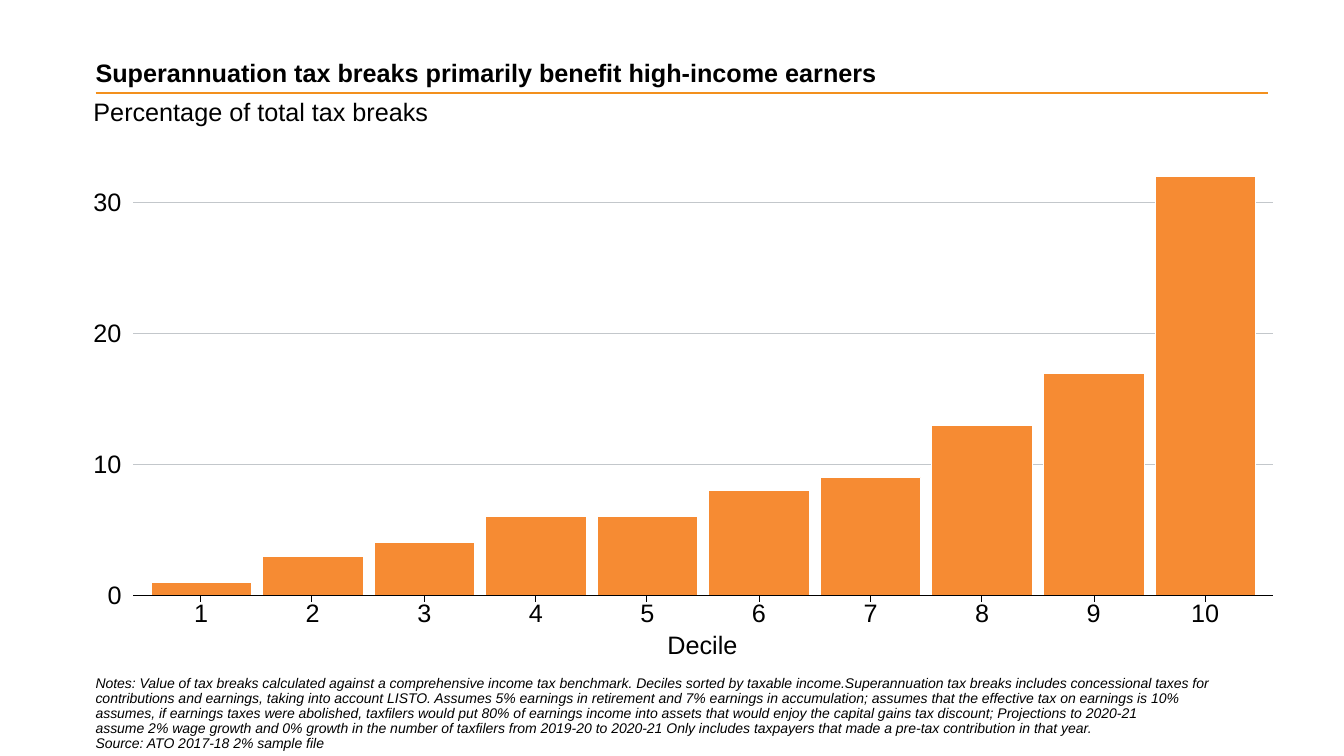
from dataclasses import dataclass

from lxml.etree import SubElement
from pptx import Presentation
from pptx.chart.data import CategoryChartData
from pptx.dml.color import RGBColor
from pptx.enum.chart import XL_CHART_TYPE, XL_TICK_MARK
from pptx.enum.shapes import MSO_CONNECTOR
from pptx.enum.text import MSO_ANCHOR, PP_ALIGN
from pptx.oxml import parse_xml
from pptx.oxml.ns import nsdecls, qn
from pptx.util import Emu, Pt

EMU_PER_PX = 9525
FONT = "Arial"
COLOURS = {"text": "000000", "rule": "F3901D", "bar": "F68B33",
           "grid": "C3C7CB", "edge": "FFFFFF"}
SHARES = [1, 3, 4, 6, 6, 8, 9, 13, 17, 32]
MAXIMUM, STEP = 33, 10
NOTES = "\v".join([
    "Notes: Value of tax breaks calculated against a comprehensive income tax benchmark. Deciles sorted by taxable income.Superannuation tax breaks includes concessional taxes for",
    "contributions and earnings, taking into account LISTO. Assumes 5% earnings in retirement and 7% earnings in accumulation; assumes that the effective tax on earnings is 10%",
    "assumes, if earnings taxes were abolished, taxfilers would put 80% of earnings income into assets that would enjoy the capital gains tax discount; Projections to 2020-21",
    "assume 2% wage growth and 0% growth in the number of taxfilers from 2019-20 to 2020-21 Only includes taxpayers that made a pre-tax contribution in that year.",
])
SOURCE = "Source: ATO 2017-18 2% sample file"


@dataclass(frozen=True)
class Area:
    left: int
    top: int
    width: int
    height: int

    def emu(self) -> list[Emu]:
        return [px(n) for n in (self.left, self.top, self.width, self.height)]


@dataclass(frozen=True)
class Line:
    x1: int
    y1: int
    x2: int
    y2: int
    colour: str
    points: float


@dataclass(frozen=True)
class TextStyle:
    size: int
    bold: bool = False
    italic: bool = False
    spacing: object = 1.0
    anchor: MSO_ANCHOR = MSO_ANCHOR.TOP
    align: PP_ALIGN = PP_ALIGN.LEFT


CHART = Area(89, 149, 1134, 485)
PLOT = Area(138, 156, 1063, 411)
BASE = PLOT.top + PLOT.height
GRID_LEFT, GRID_RIGHT = 127, 1212
AXIS_TITLE = Area(619, 599, 100, 28)
NOTES_AREA = Area(91, 644, 1134, 72)


def px(length: int) -> Emu:
    return Emu(length * EMU_PER_PX)


def colour(name: str) -> RGBColor:
    return RGBColor.from_string(COLOURS[name])


def write(shape, area: Area, lines: list[str], style: TextStyle) -> None:
    shape.left, shape.top, shape.width, shape.height = area.emu()
    frame = shape.text_frame
    frame.word_wrap = True
    frame.vertical_anchor = style.anchor
    frame.margin_left = frame.margin_right = frame.margin_top = frame.margin_bottom = 0
    for index, line in enumerate(lines):
        para = frame.add_paragraph() if index else frame.paragraphs[0]
        para.text = line
        para.alignment = style.align
        para.line_spacing = style.spacing
        para.space_before = para.space_after = Pt(0)
        properties = para._p.get_or_add_pPr()
        properties.set("marL", "0")
        properties.set("indent", "0")
        SubElement(properties, qn("a:buNone"))
        para.font.name = FONT
        para.font.size = Pt(style.size)
        para.font.bold = style.bold
        para.font.italic = style.italic
        para.font.color.rgb = colour("text")


def write_box(page, area: Area, lines: list[str], style: TextStyle) -> None:
    write(page.shapes.add_textbox(*area.emu()), area, lines, style)


def draw_line(page, line: Line) -> None:
    connector = page.shapes.add_connector(
        MSO_CONNECTOR.STRAIGHT, px(line.x1), px(line.y1), px(line.x2), px(line.y2))
    connector.line.color.rgb = colour(line.colour)
    connector.line.width = Pt(line.points)
    SubElement(connector._element.spPr, qn("a:effectLst"))


def no_fill():
    return parse_xml(f'<c:spPr {nsdecls("c", "a")}><a:noFill/>'
                     '<a:ln><a:noFill/></a:ln></c:spPr>')


def place_plot(chart) -> None:
    plot_area = chart._chartSpace.chart.plotArea
    fractions = {"x": (PLOT.left - CHART.left) / CHART.width,
                 "y": (PLOT.top - CHART.top) / CHART.height,
                 "w": PLOT.width / CHART.width,
                 "h": PLOT.height / CHART.height}
    sizes = "".join(f'<c:{key} val="{value:.4f}"/>' for key, value in fractions.items())
    for old in plot_area.findall(qn("c:layout")):
        plot_area.remove(old)
    plot_area.insert(0, parse_xml(
        f'<c:layout {nsdecls("c")}><c:manualLayout><c:layoutTarget val="inner"/>'
        f'<c:xMode val="edge"/><c:yMode val="edge"/>{sizes}</c:manualLayout></c:layout>'))
    plot_area.append(no_fill())
    chart._chartSpace.chart.addnext(no_fill())


def draw_chart(page) -> None:
    data = CategoryChartData(number_format="0")
    data.categories = [str(decile + 1) for decile in range(len(SHARES))]
    data.add_series("Percentage of total tax breaks", SHARES)
    chart = page.shapes.add_chart(XL_CHART_TYPE.COLUMN_CLUSTERED, *CHART.emu(), data).chart
    chart.has_legend = False
    chart.has_title = False
    chart.font.name = FONT
    chart.font.size = Pt(18)
    chart.font.color.rgb = colour("text")

    plot = chart.plots[0]
    plot.gap_width = 11
    plot.vary_by_categories = False
    bars = plot.series[0].format
    bars.fill.solid()
    bars.fill.fore_color.rgb = colour("bar")
    bars.line.color.rgb = colour("edge")
    bars.line.width = Pt(0.56)

    values = chart.value_axis
    values.minimum_scale, values.maximum_scale, values.major_unit = 0, MAXIMUM, STEP
    values.has_major_gridlines = False
    values.major_tick_mark = XL_TICK_MARK.OUTSIDE
    values.tick_labels.number_format = '0"  "'
    values.tick_labels.number_format_is_linked = False
    values.format.line.fill.background()

    deciles = chart.category_axis
    deciles.major_tick_mark = XL_TICK_MARK.NONE
    deciles.format.line.fill.background()
    place_plot(chart)


def draw_gridlines(page) -> None:
    for value in range(0, MAXIMUM, STEP):
        y = BASE - round(value * PLOT.height / MAXIMUM)
        draw_line(page, Line(GRID_LEFT, y, GRID_RIGHT, y, "grid", 0.56))


def draw_decile_axis(page) -> None:
    draw_line(page, Line(GRID_LEFT, BASE, GRID_RIGHT, BASE, "text", 0.75))
    for decile in range(len(SHARES)):
        middle = PLOT.left + round((decile + 0.5) * PLOT.width / len(SHARES))
        draw_line(page, Line(middle, BASE, middle, BASE + 6, "text", 0.56))
    write_box(page, AXIS_TITLE, ["Decile"], TextStyle(18, align=PP_ALIGN.CENTER))


def main() -> None:
    deck = Presentation()
    deck.slide_width, deck.slide_height = px(1280), px(720)
    page = deck.slides.add_slide(deck.slide_layouts[1])
    write(page.shapes.title, Area(91, 20, 948, 63),
          ["Superannuation tax breaks primarily benefit high-income earners"],
          TextStyle(18, bold=True, anchor=MSO_ANCHOR.BOTTOM))
    write(page.placeholders[1], Area(89, 95, 1118, 26),
          ["Percentage of total tax breaks"], TextStyle(18, spacing=0.9))
    draw_line(page, Line(91, 89, 1208, 89, "rule", 1.5))
    draw_gridlines(page)
    draw_chart(page)
    draw_decile_axis(page)
    write_box(page, NOTES_AREA, [NOTES, SOURCE],
              TextStyle(10, italic=True, spacing=Pt(10.8)))
    deck.save("out.pptx")


if __name__ == "__main__":
    main()
